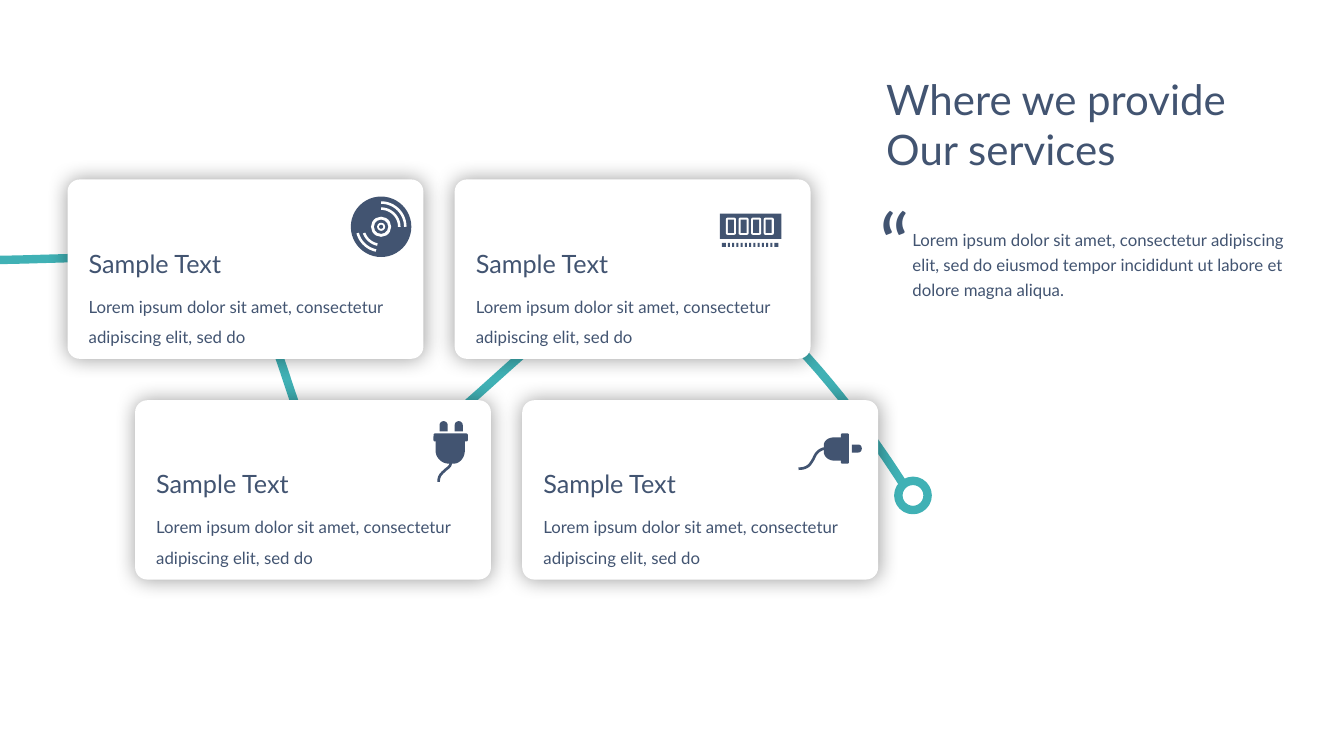
import math

from lxml import etree
from pptx import Presentation
from pptx.dml.color import RGBColor
from pptx.enum.shapes import MSO_SHAPE
from pptx.oxml.ns import qn
from pptx.util import Inches, Pt

RECT = MSO_SHAPE.RECTANGLE
ROUND = MSO_SHAPE.ROUNDED_RECTANGLE
OVAL = MSO_SHAPE.OVAL

COLORS = {"ink": "425471", "teal": "40B1B5", "white": "FFFFFF", "shade": "000000"}
FONT = "Lato"
BLURB = "Lorem ipsum dolor sit amet, consectetur adipiscing elit, sed do"
QUOTE = BLURB + " eiusmod tempor incididunt ut labore et dolore magna aliqua."


def color(name):
    return RGBColor.from_string(COLORS[name])


def paint(shape, fill=None, line=None, width=0):
    shape.shadow.inherit = False
    if fill:
        shape.fill.solid()
        shape.fill.fore_color.rgb = color(fill)
    else:
        shape.fill.background()
    if line:
        shape.line.color.rgb = color(line)
        shape.line.width = Pt(width)
    else:
        shape.line.fill.background()
    return shape


def block(slide, kind, x, y, w, h, fill="ink", line=None, width=0):
    box = [Inches(v) for v in (x, y, w, h)]
    return paint(slide.shapes.add_shape(kind, *box), fill, line, width)


def disk(slide, x, y, r, fill):
    """Draw a circle around a centre."""
    block(slide, OVAL, x - r, y - r, 2 * r, 2 * r, fill)


def trace(slide, points, closed=False, **style):
    spots = [(Inches(x), Inches(y)) for x, y in points]
    pen = slide.shapes.build_freeform(*spots[0])
    pen.add_line_segments(spots[1:], close=closed)
    return paint(pen.convert_to_shape(), **style)


def bend(start, *legs, steps=24):
    """Return points along legs: one point is a line, three are a Bezier curve."""
    points = [start]
    for leg in legs:
        if len(leg) == 1:
            points += leg
            continue
        knots = [points[-1], *leg]
        for i in range(1, steps + 1):
            t = i / steps
            mix = [(1 - t) ** 3, 3 * t * (1 - t) ** 2, 3 * t * t * (1 - t), t ** 3]
            points.append(tuple(sum(m * k[a] for m, k in zip(mix, knots)) for a in (0, 1)))
    return points


def write(slide, box, lines, size, spacing=None, wrap=True):
    frame = slide.shapes.add_textbox(*[Inches(v) for v in box]).text_frame
    frame.word_wrap = wrap
    frame.margin_left = frame.margin_right = frame.margin_top = frame.margin_bottom = 0
    for i, line in enumerate(lines):
        para = frame.add_paragraph() if i else frame.paragraphs[0]
        para.text = line
        para.font.name = FONT
        para.font.size = Pt(size)
        para.font.color.rgb = color("ink")
        if spacing:
            para.line_spacing = spacing


def glow(shape):
    """Add a soft shadow on all sides."""
    effects = shape._element.spPr.find(qn("a:effectLst"))
    shade = etree.SubElement(effects, qn("a:outerShdw"), blurRad=str(Pt(15)),
                             dist="0", algn="ctr", rotWithShape="0")
    tint = etree.SubElement(shade, qn("a:srgbClr"), val=COLORS["shade"])
    etree.SubElement(tint, qn("a:alpha"), val="40000")


def card(slide, x, y):
    panel = block(slide, ROUND, x, y, 3.53, 1.78, "white")
    panel.adjustments[0] = 0.068
    glow(panel)
    write(slide, (x + 0.21, y + 0.68, 1.76, 0.3), ["Sample Text"], 18)
    write(slide, (x + 0.21, y + 1.06, 3.2, 0.57), [BLURB], 12, 1.5)


def route(slide):
    points = bend((-0.04, 2.58),
                  ((1.15, 2.56), (1.72, 2.47), (2.32, 2.82)),
                  ((2.92, 3.18), (2.83, 4.72), (3.56, 4.69)),
                  ((4.28, 4.66), (5.76, 2.6), (6.67, 2.64)),
                  ((7.58, 2.68), (8.84, 4.59), (9.03, 4.92)))
    trace(slide, points, line="teal", width=6)
    block(slide, OVAL, 8.91, 4.77, 0.29, 0.29, "white", "teal", 6)


def disc(slide):
    x, y = 3.78, 2.25
    disk(slide, x, y, 0.3, "ink")
    for r, first, last in ((0.18, -90, 0), (0.24, -90, 0), (0.18, 102, 160), (0.24, 102, 165)):
        turns = [math.radians(first + (last - first) * i / 24) for i in range(25)]
        points = [(x + r * math.cos(a), y + r * math.sin(a)) for a in turns]
        trace(slide, points, line="white", width=1.8)
    for r, fill in ((0.1, "white"), (0.07, "ink"), (0.04, "white"), (0.02, "ink")):
        disk(slide, x, y, r, fill)


def memory(slide):
    block(slide, RECT, 7.14, 2.12, 0.61, 0.25)
    for i in range(4):
        x = 7.2 + 0.125 * i
        block(slide, ROUND, x, 2.16, 0.1, 0.17, "white")
        block(slide, RECT, x + 0.02, 2.18, 0.06, 0.13)
    for i in range(11):
        block(slide, RECT, 7.22 + 0.042 * i, 2.41, 0.02, 0.04)
    for x in (7.16, 7.68):
        block(slide, RECT, x, 2.41, 0.04, 0.04)


def tall_plug(slide):
    for x in (4.36, 4.51):
        prong = bend((x, 4.28), ((x, 4.22),),
                     ((x, 4.165), (x + 0.08, 4.165), (x + 0.08, 4.22)),
                     ((x + 0.08, 4.28),))
        trace(slide, prong, True, fill="ink")
    block(slide, ROUND, 4.3, 4.3, 0.34, 0.08)
    body = bend((4.32, 4.36), ((4.32, 4.47),),
                ((4.32, 4.54), (4.38, 4.6), (4.45, 4.6)), ((4.5, 4.6),),
                ((4.56, 4.6), (4.61, 4.54), (4.61, 4.47)), ((4.61, 4.36),))
    trace(slide, body, True, fill="ink")
    cord = bend((4.47, 4.59), ((4.47, 4.63), (4.44, 4.64), (4.42, 4.66)),
                ((4.39, 4.69), (4.35, 4.71), (4.35, 4.78)))
    trace(slide, cord, line="ink", width=1.9)


def flat_plug(slide):
    prong = bend((8.45, 4.41), ((8.51, 4.41),),
                 ((8.56, 4.41), (8.56, 4.49), (8.51, 4.49)), ((8.45, 4.49),))
    trace(slide, prong, True, fill="ink")
    block(slide, ROUND, 8.34, 4.3, 0.08, 0.3)
    body = bend((8.36, 4.34), ((8.27, 4.34),),
                ((8.22, 4.34), (8.17, 4.37), (8.17, 4.42)), ((8.17, 4.48),),
                ((8.17, 4.53), (8.22, 4.57), (8.27, 4.57)), ((8.36, 4.57),))
    trace(slide, body, True, fill="ink")
    cord = bend((8.18, 4.45), ((8.12, 4.46), (8.09, 4.5), (8.07, 4.55)),
                ((8.04, 4.6), (8.02, 4.65), (7.92, 4.65)))
    trace(slide, cord, line="ink", width=1.9)


def main():
    deck = Presentation()
    deck.slide_width = Inches(13.33)
    deck.slide_height = Inches(7.5)
    slide = deck.slides.add_slide(deck.slide_layouts[6])

    route(slide)
    for row in range(2):
        for col in range(2):
            card(slide, 0.67 + 0.67 * row + 3.84 * col, 1.78 + 2.19 * row)
    for icon in (disc, memory, tall_plug, flat_plug):
        icon(slide)

    write(slide, (8.79, 0.73, 3.5, 1.01), ["Where we provide", "Our services"], 30, wrap=False)
    write(slide, (8.72, 1.9, 0.53, 1.01), ["“"], 60, wrap=False)
    write(slide, (9.05, 2.23, 3.75, 0.76), [QUOTE], 12, 1.25)
    deck.save("out.pptx")


if __name__ == "__main__":
    main()
